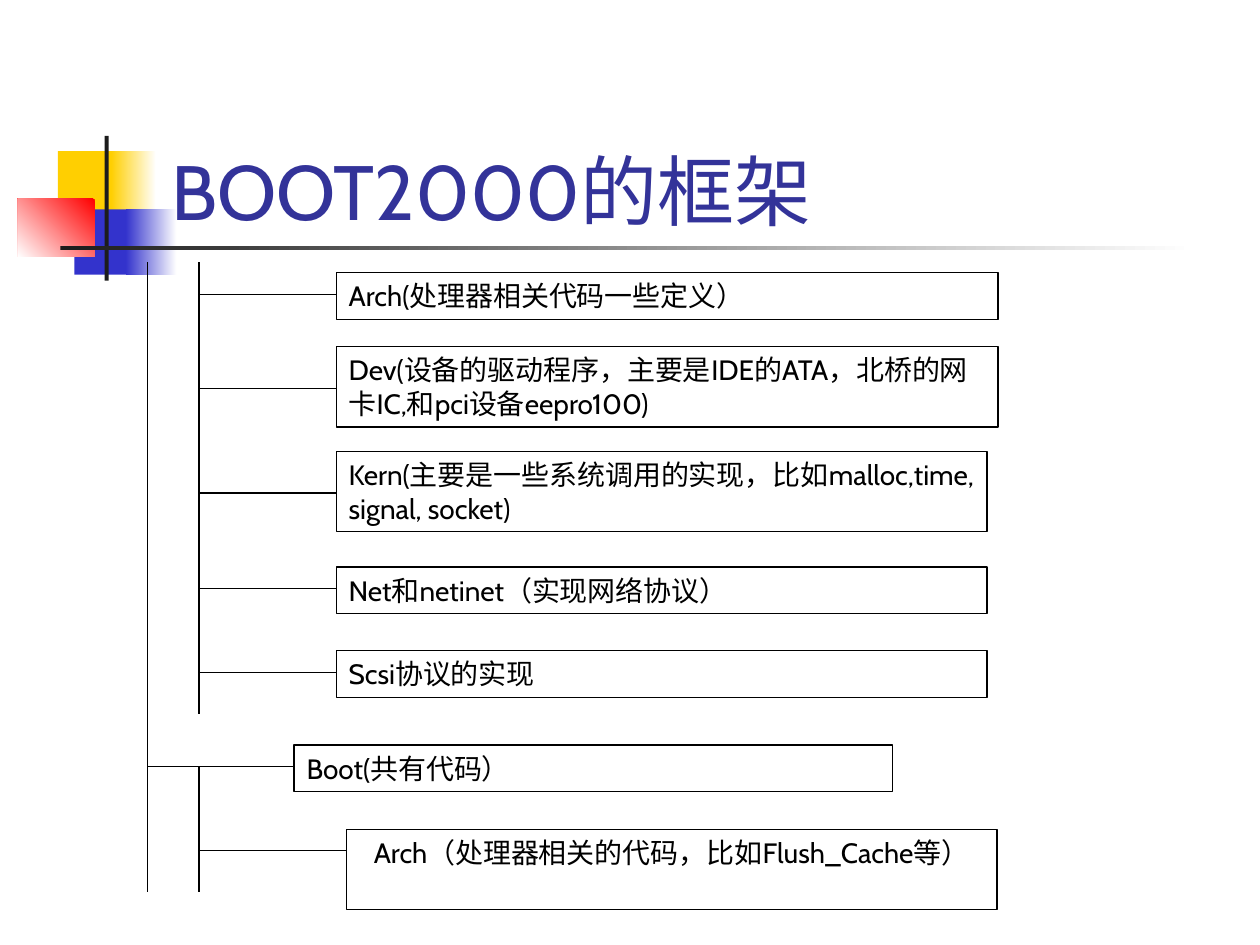
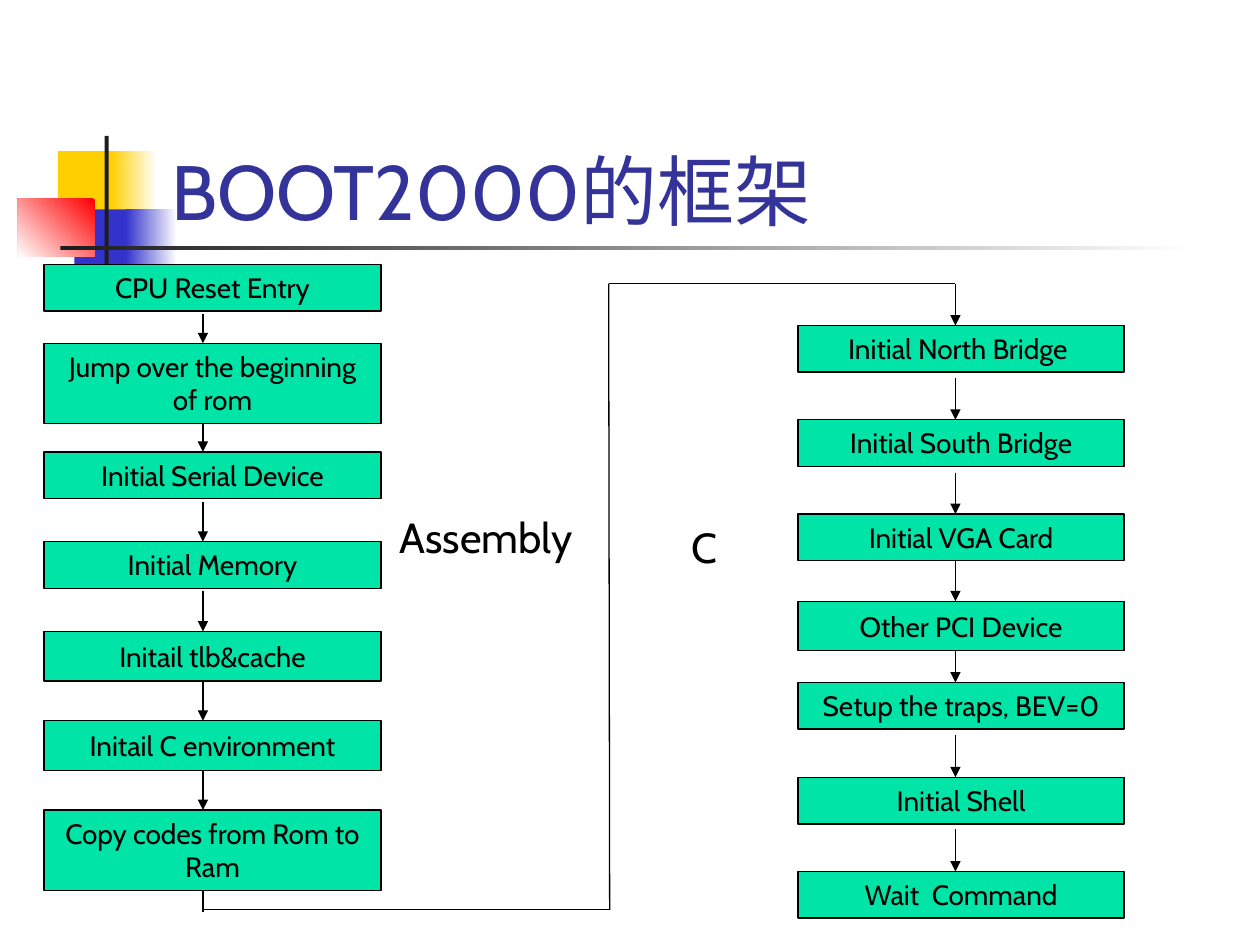
from pptx import Presentation
from pptx.dml.color import RGBColor
from pptx.enum.shapes import MSO_CONNECTOR, MSO_SHAPE
from pptx.enum.text import MSO_ANCHOR, MSO_AUTO_SIZE, PP_ALIGN
from pptx.oxml.ns import qn
from pptx.util import Cm, Pt
from lxml import etree

RECTANGLE, PROCESS = MSO_SHAPE.RECTANGLE, MSO_SHAPE.FLOWCHART_PROCESS
STRAIGHT = MSO_CONNECTOR.STRAIGHT
TOP, MIDDLE, BOTTOM = MSO_ANCHOR.TOP, MSO_ANCHOR.MIDDLE, MSO_ANCHOR.BOTTOM
LEFT, CENTER = PP_ALIGN.LEFT, PP_ALIGN.CENTER
NO_AUTOFIT = MSO_AUTO_SIZE.NONE

BLACK = RGBColor(0x00, 0x00, 0x00)
WHITE = RGBColor(0xFF, 0xFF, 0xFF)
CHARCOAL = RGBColor(0x1C, 0x1C, 0x1C)
YELLOW = RGBColor(0xFF, 0xCF, 0x01)
BLUE = RGBColor(0x33, 0x33, 0xCC)
RED = RGBColor(0xFF, 0x00, 0x00)
INDIGO = RGBColor(0x33, 0x33, 0x99)
GREEN = RGBColor(0x00, 0xE4, 0xA8)

TITLE = "BOOT2000的框架"
TITLE_ONLY_LAYOUT = 5
ONE_LINE, TWO_LINES, PROCESS_HEIGHT = 0.94, 1.62, 1.0

# left, top, width, height, colour, angle of the fade to white (None: solid)
DECORATION = [
    (1.17, 3.05, 1.22, 1.32, YELLOW, None),
    (2.24, 3.05, 0.91, 1.32, YELLOW, 0),
    (1.5, 4.22, 1.17, 1.32, BLUE, None),
    (2.54, 4.22, 1.02, 1.32, BLUE, 0),
    (0.36, 4.01, 1.55, 1.17, RED, 225),
    (2.11, 2.74, 0.08, 2.92, CHARCOAL, None),
    (1.22, 4.95, 22.86, 0.09, CHARCOAL, 0),
]

# trunk, left, top, width, height, drop from box top to branch, text
TREE = [
    (4.01, 6.78, 5.5, 13.34, ONE_LINE, 0.43, "Arch(处理器相关代码一些定义）"),
    (4.01, 6.78, 6.99, 13.34, TWO_LINES, 0.84,
     "Dev(设备的驱动程序，主要是IDE的ATA，北桥的网卡IC,和pci设备eepro100)"),
    (4.01, 6.78, 9.1, 13.12, TWO_LINES, 0.84,
     "Kern(主要是一些系统调用的实现，比如malloc,time, signal, socket)"),
    (4.01, 6.78, 11.43, 13.12, ONE_LINE, 0.43, "Net和netinet（实现网络协议）"),
    (4.01, 6.78, 13.12, 13.12, ONE_LINE, 0.43, "Scsi协议的实现"),
    (2.97, 5.93, 15.02, 12.07, ONE_LINE, 0.43, "Boot(共有代码）"),
    (4.01, 6.98, 16.72, 13.12, TWO_LINES, 0.43,
     "Arch（处理器相关的代码，比如Flush_Cache等）"),
]

# top, height, gap between box and the arrow below it, text
ASSEMBLY_STEPS = [
    (5.33, ONE_LINE, 0.05, "CPU Reset Entry"),
    (6.92, TWO_LINES, 0, "Jump over the beginning of rom"),
    (9.11, ONE_LINE, 0.08, "Initial Serial Device"),
    (10.92, ONE_LINE, 0.05, "Initial Memory"),
    (12.73, PROCESS_HEIGHT, 0, "Initail tlb&cache"),
    (14.53, PROCESS_HEIGHT, 0, "Initail C environment"),
    (16.33, TWO_LINES, 0, "Copy codes from Rom to Ram"),
]
C_STEPS = [
    (6.56, ONE_LINE, 0.13, "Initial North Bridge "),
    (8.46, ONE_LINE, 0.13, "Initial South Bridge"),
    (10.36, ONE_LINE, 0.02, "Initial VGA Card"),
    (12.12, PROCESS_HEIGHT, 0.01, "Other PCI Device"),
    (13.76, ONE_LINE, 0.11, "Setup the traps, BEV=0"),
    (15.67, ONE_LINE, 0.11, "Initial Shell"),
    (17.57, ONE_LINE, 0, "Wait  Command"),
]


def set_attributes(target, values):
    for name, value in values.items():
        setattr(target, name, value)


class Deck:
    """Holds the shared style and the slide being drawn."""

    font_name = "Cabin"
    line_width = Pt(0.75)

    def __init__(self):
        self.presentation = Presentation()
        set_attributes(self.presentation,
                       {"slide_width": Cm(25.4), "slide_height": Cm(19.05)})
        self.slide = None

    def new_slide(self, title):
        layout = self.presentation.slide_layouts[TITLE_ONLY_LAYOUT]
        self.slide = self.presentation.slides.add_slide(layout)
        for left, top, width, height, color, angle in DECORATION:
            shape = self.shape(RECTANGLE, left, top, width, height)
            self.paint(shape, color, angle)
        placeholder = self.slide.shapes.title
        set_attributes(placeholder, {"left": Cm(3.2), "top": Cm(1.7),
                                     "width": Cm(21.64), "height": Cm(3.18)})
        self.set_text(placeholder, title, 44, INDIGO, LEFT, BOTTOM)

    def shape(self, kind, left, top, width, height):
        """Add a shape with no shadow, fill or outline."""
        shape = self.slide.shapes.add_shape(
            kind, Cm(left), Cm(top), Cm(width), Cm(height))
        shape.shadow.inherit = False
        shape.fill.background()
        shape.line.fill.background()
        return shape

    def paint(self, shape, color, angle=None):
        """Fill solidly, or fade to white along the given angle."""
        if angle is None:
            shape.fill.solid()
            shape.fill.fore_color.rgb = color
            return
        shape.fill.gradient()
        shape.fill.gradient_angle = angle
        for stop, stop_color in zip(shape.fill.gradient_stops, (color, WHITE)):
            stop.color.rgb = stop_color

    def set_text(self, shape, text, size, color, alignment, anchor, wrap=True):
        set_attributes(shape.text_frame, {
            "text": text, "word_wrap": wrap, "auto_size": NO_AUTOFIT,
            "vertical_anchor": anchor})
        paragraph = shape.text_frame.paragraphs[0]
        paragraph.alignment = alignment
        font = paragraph.runs[0].font
        set_attributes(font, {"name": self.font_name, "size": Pt(size)})
        font.color.rgb = color

    def box(self, left, top, width, height, text, fill=None, alignment=LEFT):
        is_process = height == PROCESS_HEIGHT
        shape = self.shape(PROCESS if is_process else RECTANGLE,
                           left, top, width, height)
        if fill is not None:
            self.paint(shape, fill)
        self.outline(shape.line)
        self.set_text(shape, text, 16, BLACK, alignment,
                      MIDDLE if is_process else TOP, not is_process)

    def label(self, left, top, text):
        shape = self.shape(PROCESS, left, top, 3.4, 3.0)
        self.set_text(shape, text, 24, BLACK, CENTER, MIDDLE, False)

    def outline(self, line):
        line.color.rgb = BLACK
        line.width = self.line_width

    def line(self, start, end, arrow=False):
        connector = self.slide.shapes.add_connector(
            STRAIGHT, *(Cm(value) for value in (*start, *end)))
        self.outline(connector.line)
        properties = connector.element.spPr
        if arrow:
            etree.SubElement(properties.find(qn("a:ln")), qn("a:tailEnd"),
                             type="triangle")
        etree.SubElement(properties, qn("a:effectLst"))

    def polyline(self, points):
        """Join the points with lines, the last one ending in an arrowhead."""
        for index in range(1, len(points)):
            self.line(points[index - 1], points[index],
                      arrow=index == len(points) - 1)

    def flow(self, left, width, arrow_x, steps):
        """Draw a column of boxes joined by downward arrows."""
        for top, height, _, text in steps:
            self.box(left, top, width, height, text, GREEN, CENTER)
        for (top, height, gap, _), following in zip(steps, steps[1:]):
            self.line((arrow_x, top + height + gap), (arrow_x, following[0]),
                      arrow=True)


def add_source_tree(deck):
    deck.new_slide(TITLE)
    for x, top, bottom in [(2.97, 5.29, 17.98), (4.01, 5.29, 14.39),
                           (4.01, 15.45, 17.98)]:
        deck.line((x, top), (x, bottom))
    for trunk, left, top, width, height, drop, text in TREE:
        deck.line((trunk, top + drop), (left, top + drop))
        alignment = CENTER if text == TREE[-1][-1] else LEFT
        deck.box(left, top, width, height, text, alignment=alignment)


def add_boot_flow(deck):
    deck.new_slide(TITLE)
    deck.flow(0.89, 6.79, 4.09, ASSEMBLY_STEPS)
    deck.flow(16.09, 6.57, 19.26, C_STEPS)
    deck.line((4.09, 17.95), (4.09, 18.39))
    deck.polyline([(4.09, 18.34), (12.29, 18.34), (12.27, 5.72),
                   (19.26, 5.72), (19.26, 6.56)])
    deck.label(8.1, 9.32, "Assembly")
    deck.label(12.5, 9.53, "C")


def main():
    deck = Deck()
    add_source_tree(deck)
    add_boot_flow(deck)
    deck.presentation.save("out.pptx")


if __name__ == "__main__":
    main()
